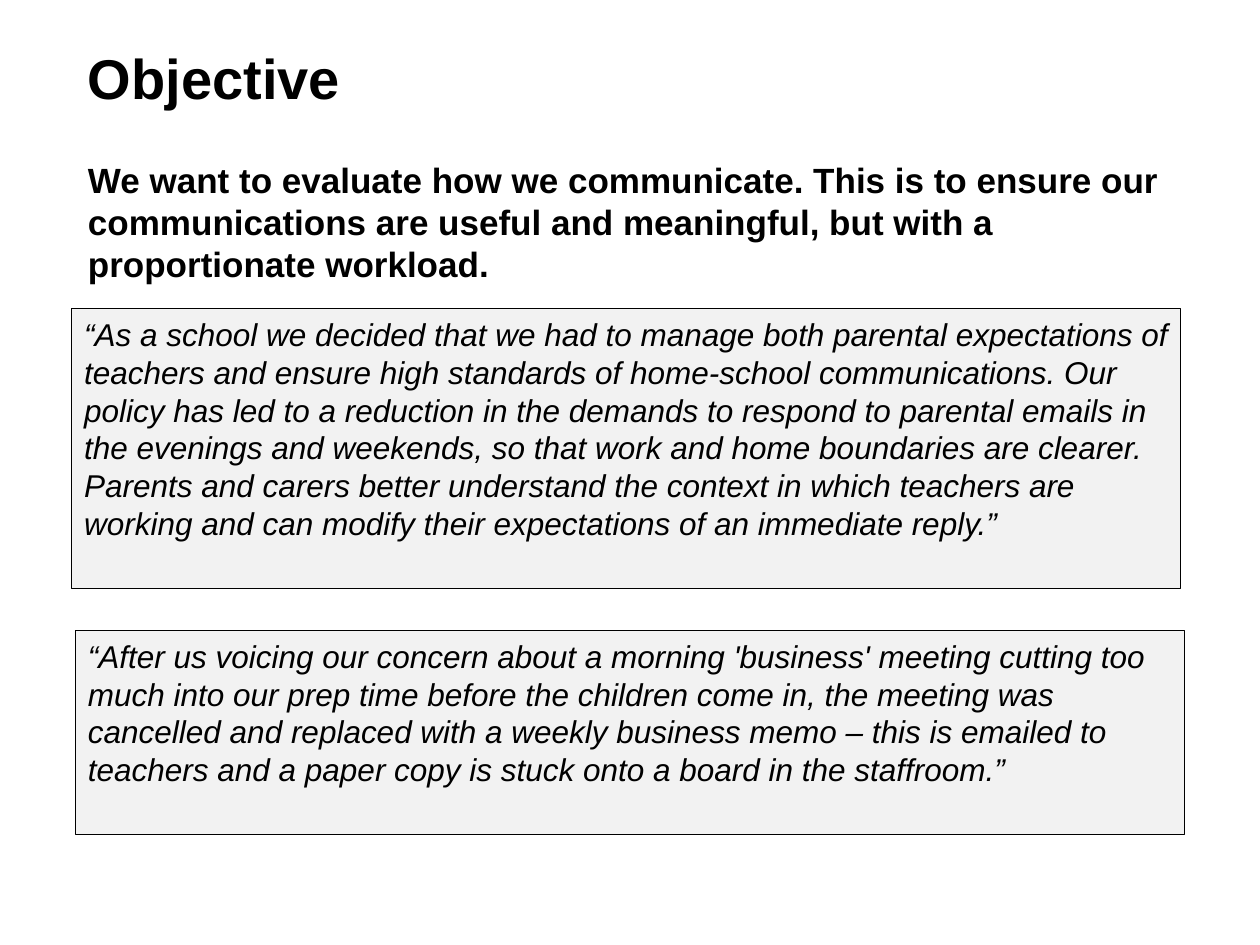
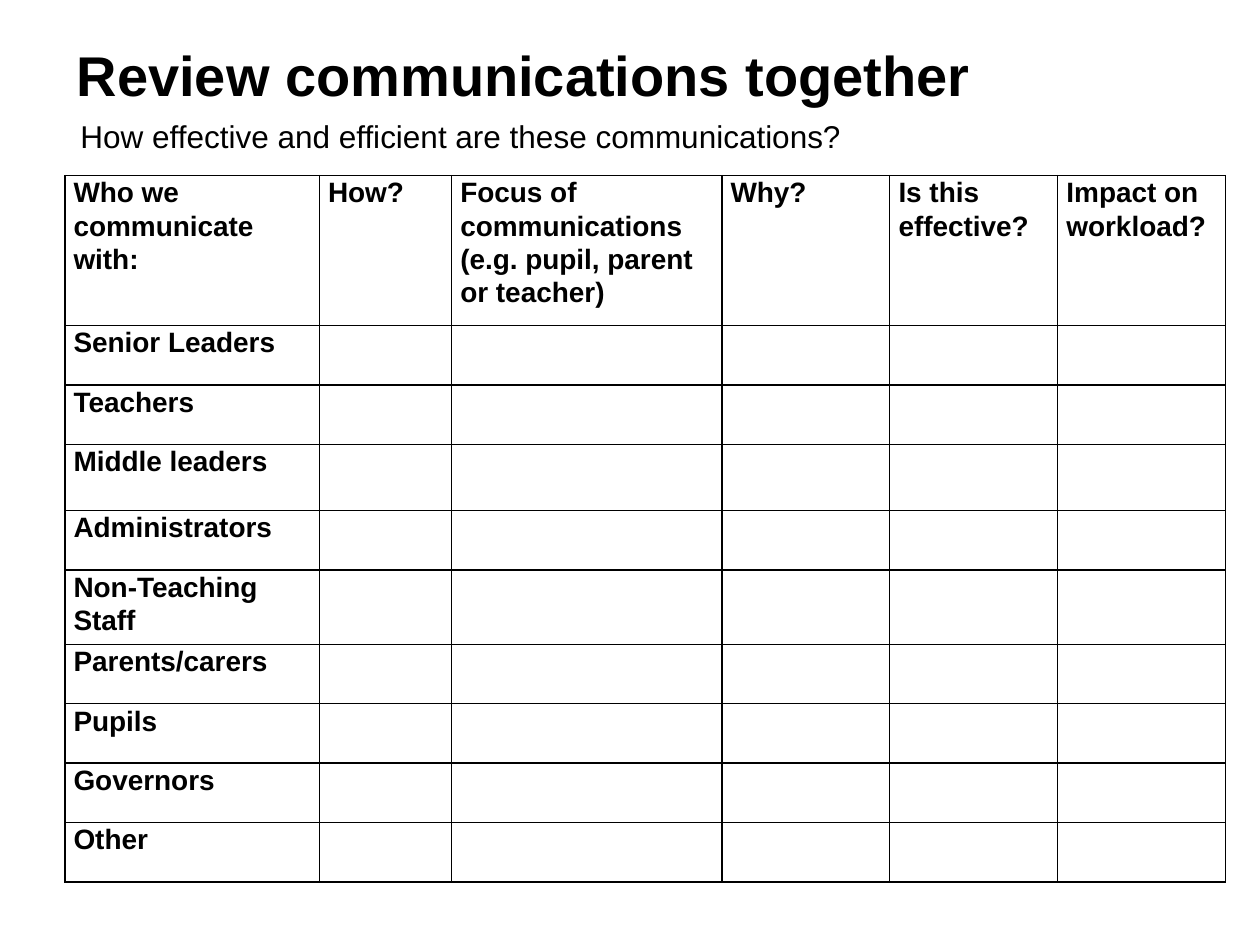
import dataclasses
import typing

import lxml.etree
import pptx
import pptx.dml.color
import pptx.enum.shapes
import pptx.enum.text
import pptx.oxml.ns
import pptx.util

PX = 914.4
BLANK = 6


@dataclasses.dataclass(frozen=True)
class Theme:
    font: str = "Arial"
    ink: str = "000000"
    panel: str = "F2F2F2"
    paper: str = "FFFFFF"
    title: int = 32
    lead: int = 20
    body: int = 18
    cell: int = 16
    rule: float = 0.75
    grid: int = 1
    space: float = 1.07


@dataclasses.dataclass(frozen=True)
class Box:
    left: int
    top: int
    width: int
    height: int

    def emu(self) -> list[int]:
        return [px(n) for n in dataclasses.astuple(self)]


@dataclasses.dataclass(frozen=True)
class Quote:
    box: Box
    text: str


THEME = Theme()

LEAD = (
    "We want to evaluate how we communicate. This is to ensure our communications "
    "are useful and meaningful, but with a proportionate workload."
)
QUOTES = (
    Quote(
        Box(570, 2450, 8800, 2220),
        "“As a school we decided that we had to manage both parental expectations of "
        "teachers and ensure high standards of home-school communications. Our policy "
        "has led to a reduction in the demands to respond to parental emails in the "
        "evenings and weekends, so that work and home boundaries are clearer. Parents "
        "and carers better understand the context in which teachers are working and can "
        "modify their expectations of an immediate reply.”",
    ),
    Quote(
        Box(600, 5005, 8800, 1620),
        "“After us voicing our concern about a morning 'business' meeting cutting too "
        "much into our prep time before the children come in, the meeting was cancelled "
        "and replaced with a weekly business memo – this is emailed to teachers and a "
        "paper copy is stuck onto a board in the staffroom.”",
    ),
)

HEADS = {
    "Who we communicate with:": 2020,
    "How?": 1050,
    "Focus of communications (e.g. pupil, parent or teacher)": 2145,
    "Why?": 1333,
    "Is this effective?": 1333,
    "Impact on workload?": 1333,
}
GROUPS = (
    "Senior Leaders", "Teachers", "Middle leaders", "Administrators",
    "Non-Teaching Staff", "Parents/carers", "Pupils", "Governors", "Other",
)
HEAD_ROW = 1190
ROW = 472
TALL = {"Middle leaders": 524, "Non-Teaching Staff": 591}


def px(count: int) -> int:
    return pptx.util.Emu(round(count * PX))


def tint(code: str) -> pptx.dml.color.RGBColor:
    return pptx.dml.color.RGBColor.from_string(code)


def write(
    frame: typing.Any,
    text: str,
    *,
    size: int,
    bold: bool = False,
    slant: bool = False,
    mid: bool = False,
    after: int = 0,
    space: float = 1.0,
) -> None:
    anchor = pptx.enum.text.MSO_ANCHOR
    frame.word_wrap = True
    frame.vertical_anchor = anchor.MIDDLE if mid else anchor.TOP
    para = frame.paragraphs[0]
    para.alignment = pptx.enum.text.PP_ALIGN.LEFT
    para.line_spacing = space
    para.space_after = pptx.util.Pt(after)
    run = para.add_run()
    run.text = text
    run.font.name = THEME.font
    run.font.size = pptx.util.Pt(size)
    run.font.bold = bold
    run.font.italic = slant
    run.font.color.rgb = tint(THEME.ink)


def label(slide: typing.Any, box: Box, text: str, **style: typing.Any) -> None:
    write(slide.shapes.add_textbox(*box.emu()).text_frame, text, **style)


def title(slide: typing.Any, box: Box, text: str) -> None:
    label(slide, box, text, size=THEME.title, bold=True, mid=True)


def panel(slide: typing.Any, quote: Quote) -> None:
    kind = pptx.enum.shapes.MSO_SHAPE.RECTANGLE
    shape = slide.shapes.add_shape(kind, *quote.box.emu())
    shape.shadow.inherit = False
    shape.fill.solid()
    shape.fill.fore_color.rgb = tint(THEME.panel)
    shape.line.color.rgb = tint(THEME.ink)
    shape.line.width = pptx.util.Pt(THEME.rule)
    write(shape.text_frame, quote.text, size=THEME.body, slant=True)


def edge(cell: typing.Any) -> None:
    name = pptx.oxml.ns.qn
    props = cell._tc.get_or_add_tcPr()
    for spot, side in enumerate(("a:lnL", "a:lnR", "a:lnT", "a:lnB")):
        line = lxml.etree.Element(name(side), w=str(pptx.util.Pt(THEME.grid)))
        fill = lxml.etree.SubElement(line, name("a:solidFill"))
        lxml.etree.SubElement(fill, name("a:srgbClr"), val=THEME.ink)
        props.insert(spot, line)


def grid(slide: typing.Any, left: int, top: int) -> None:
    widths = list(HEADS.values())
    heights = [HEAD_ROW] + [TALL.get(group, ROW) for group in GROUPS]
    box = Box(left, top, sum(widths), sum(heights))
    table = slide.shapes.add_table(len(heights), len(widths), *box.emu()).table
    for col, width in zip(table.columns, widths):
        col.width = px(width)
    for row, height in zip(table.rows, heights):
        row.height = px(height)
    for cell in table.iter_cells():
        cell.fill.solid()
        cell.fill.fore_color.rgb = tint(THEME.paper)
        cell.margin_left = cell.margin_right = px(70)
        cell.margin_top = cell.margin_bottom = 0
        edge(cell)
    texts = {(0, col): head for col, head in enumerate(HEADS)}
    texts |= {(row, 0): group for row, group in enumerate(GROUPS, 1)}
    for place, text in texts.items():
        frame = table.cell(*place).text_frame
        write(frame, text, size=THEME.cell, bold=True, space=THEME.space)


def aim(slide: typing.Any) -> None:
    title(slide, Box(600, 20, 8500, 1190), "Objective")
    label(slide, Box(600, 1210, 8740, 1090), LEAD, size=THEME.lead, bold=True, after=6)
    for quote in QUOTES:
        panel(slide, quote)


def review(slide: typing.Any) -> None:
    title(slide, Box(510, 0, 8980, 1180), "Review communications together")
    label(
        slide,
        Box(540, 880, 8930, 400),
        "How effective and efficient are these communications?",
        size=THEME.body,
    )
    grid(slide, 514, 1394)


def main() -> None:
    deck = pptx.Presentation()
    deck.slide_width, deck.slide_height = px(10000), px(7500)
    for draw in (aim, review):
        draw(deck.slides.add_slide(deck.slide_layouts[BLANK]))
    deck.save("out.pptx")


if __name__ == "__main__":
    main()
